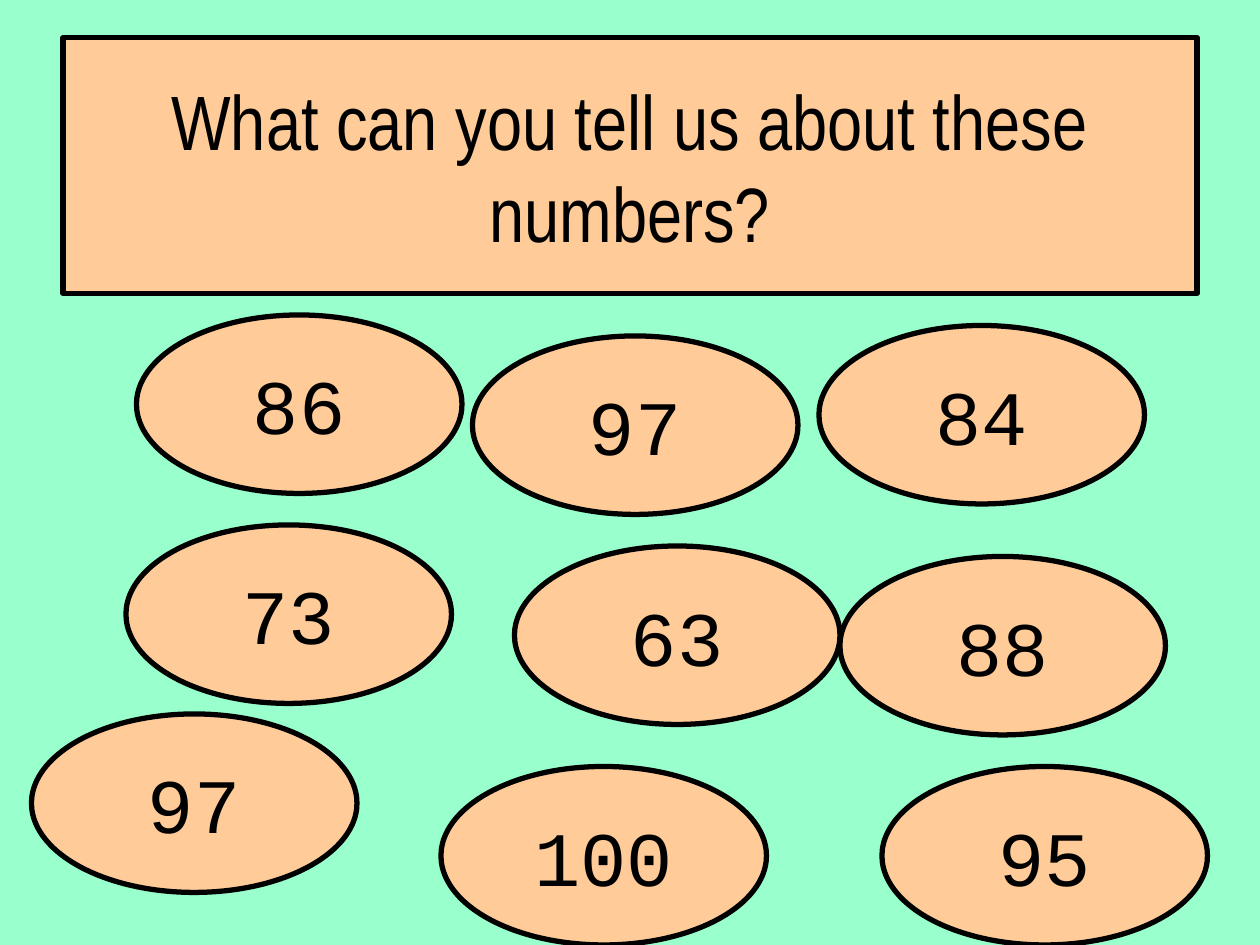
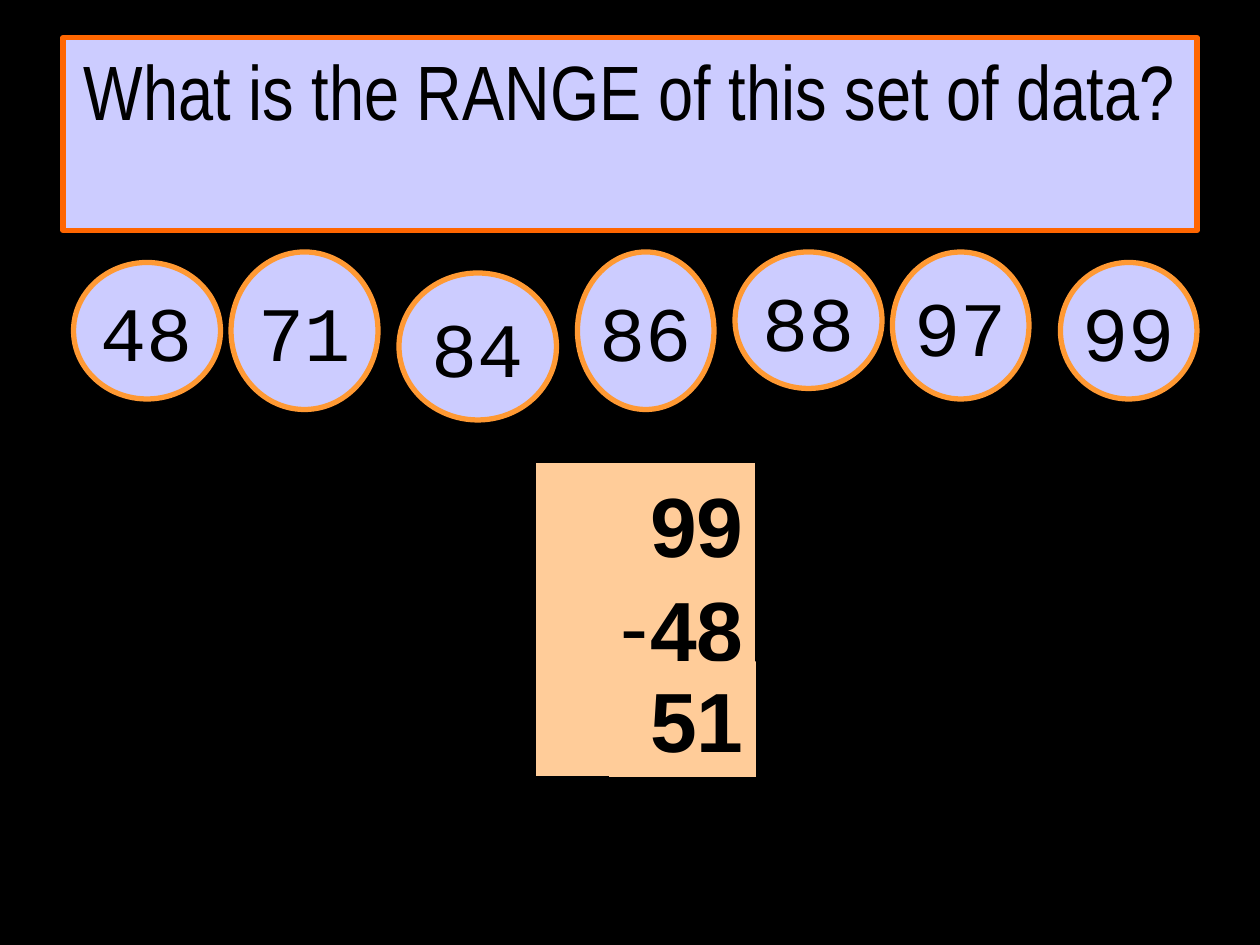
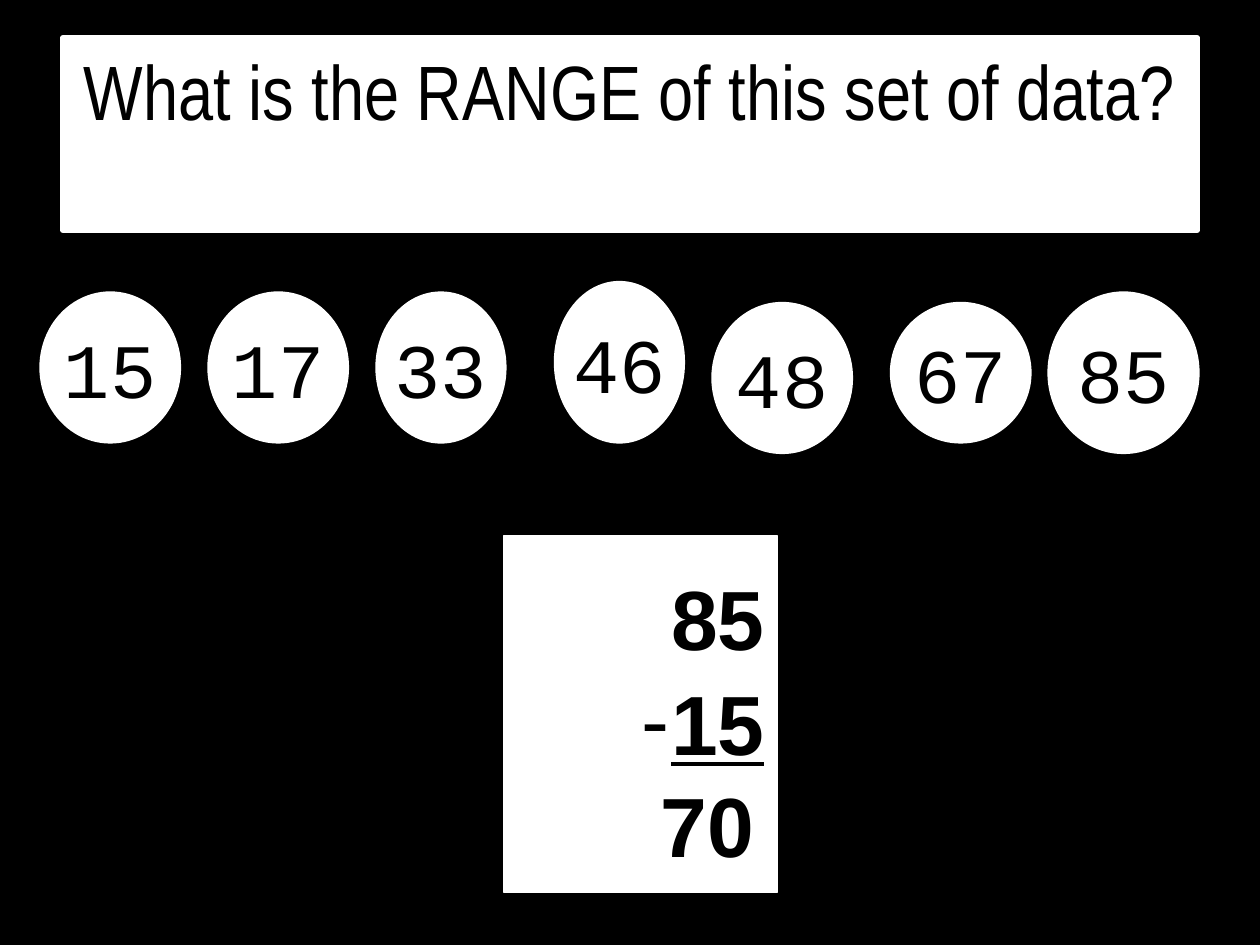
"""Three slides on number sets: a talking point and two range questions."""
from lxml.etree import SubElement
from pptx import Presentation
from pptx.dml.color import RGBColor
from pptx.enum.shapes import MSO_SHAPE as Preset
from pptx.enum.text import MSO_ANCHOR as Anchor, PP_ALIGN as Align
from pptx.oxml.ns import qn
from pptx.util import Inches, Pt

COLOURS = {"mint": "99FFCC", "peach": "FFCC99", "lilac": "CCCCFF", "flame": "FF6600",
           "orange": "FF9933", "black": "000000", "white": "FFFFFF"}
CELL = 1 / 12
OVAL = (31, 17)
RANGE_QUESTION = "What is the RANGE of this set of data?"

SLIDES = [
    {"ground": "mint", "question": "What can you tell us about these numbers?",
     "title_height": 2.03, "title_anchor": Anchor.MIDDLE,
     "fill": "peach", "title_line": "black", "oval_line": "black",
     "numbers": [("86", 13, 30, *OVAL), ("97", 45, 32, *OVAL), ("84", 78, 31, *OVAL),
                 ("73", 12, 50, *OVAL), ("63", 49, 52, *OVAL), ("88", 80, 53, *OVAL),
                 ("97", 3, 68, *OVAL), ("100", 42, 73, *OVAL), ("95", 84, 73, *OVAL)]},
    {"ground": "black", "question": RANGE_QUESTION,
     "title_height": 1.53, "title_anchor": Anchor.TOP,
     "fill": "lilac", "title_line": "flame", "oval_line": "orange",
     "numbers": [("48", 7, 25, 14, 13), ("71", 22, 24, 14, 15), ("84", 38, 26, 15, 14),
                 ("86", 55, 24, 13, 15), ("88", 70, 24, 14, 13), ("97", 85, 24, 13, 14),
                 ("99", 101, 25, 13, 13)],
     "working": {"fill": "peach", "sum_line": "black", "answer_line": None, "top": 0.09,
                 "sum": (51, 44, 21, 30), "answer": (58, 63, 14, 11)}},
    {"ground": "black", "question": RANGE_QUESTION,
     "title_height": 1.53, "title_anchor": Anchor.TOP,
     "fill": "white", "title_line": "white", "oval_line": "white",
     "numbers": [("15", 4, 28, 13, 14), ("17", 20, 28, 13, 14), ("33", 36, 28, 12, 14),
                 ("46", 53, 27, 12, 15), ("48", 68, 29, 13, 14), ("67", 85, 29, 13, 13),
                 ("85", 100, 28, 14, 15)],
     "working": {"fill": "white", "sum_line": "white", "answer_line": "white", "top": 0.25,
                 "sum": (48, 51, 26, 34), "answer": (59, 73, 14, 11)}},
]


def colour(name):
    """Look up a named colour."""
    return RGBColor.from_string(COLOURS[name])


def on_grid(cells):
    """Turn grid cells into inches."""
    return [cell * CELL for cell in cells]


def add_panel(slide, preset, place, fill, line, width=3):
    """Add a filled shape and return its text frame."""
    panel = slide.shapes.add_shape(preset, *map(Inches, place))
    panel.shadow.inherit = False
    panel.fill.solid()
    panel.fill.fore_color.rgb = colour(fill)
    if line:
        panel.line.color.rgb = colour(line)
        panel.line.width = Pt(width)
    else:
        panel.line.fill.background()
    return panel.text_frame


def write(frame, text, *, font, size, align=Align.CENTER, anchor=Anchor.MIDDLE, wrap=True,
          bold=False, underline=False, bullet=None, before=0, top=0.05):
    """Add one formatted paragraph to a text frame."""
    paragraph = frame.add_paragraph() if frame.text else frame.paragraphs[0]
    frame.word_wrap, frame.vertical_anchor = wrap, anchor
    frame.margin_top = Inches(top)
    paragraph.alignment = align
    if before:
        paragraph.space_before = Pt(before)
    if bullet:
        properties = paragraph._p.get_or_add_pPr()
        SubElement(properties, qn("a:buFont")).set("typeface", font)
        SubElement(properties, qn("a:buChar")).set("char", bullet)
    run = paragraph.add_run()
    run.text = text
    run.font.name, run.font.size = font, Pt(size)
    run.font.bold, run.font.underline = bold, underline
    run.font.color.rgb = colour("black")


def add_working(slide, working, largest, smallest):
    """Show the subtraction that gives the range."""
    digits = {"font": "Arial", "size": 48, "bold": True, "align": Align.RIGHT}
    upper = {**digits, "anchor": Anchor.TOP, "top": working["top"]}
    subtraction = add_panel(slide, Preset.RECTANGLE, on_grid(working["sum"]),
                            working["fill"], working["sum_line"], 0.75)
    write(subtraction, largest, **upper)
    write(subtraction, smallest, underline=True, bullet="-", before=2, **upper)
    answer = add_panel(slide, Preset.RECTANGLE, on_grid(working["answer"]),
                       working["fill"], working["answer_line"], 0.75)
    write(answer, str(int(largest) - int(smallest)), **digits)


def build_slide(deck, content):
    """Build one slide from its content."""
    slide = deck.slides.add_slide(deck.slide_layouts[6])
    slide.background.fill.solid()
    slide.background.fill.fore_color.rgb = colour(content["ground"])
    title = add_panel(slide, Preset.RECTANGLE, (0.5, 0.3, 9, content["title_height"]),
                      content["fill"], content["title_line"])
    write(title, content["question"], font="Arial Narrow", size=44,
          anchor=content["title_anchor"])
    numbers = content["numbers"]
    for number, *cells in numbers:
        oval = add_panel(slide, Preset.OVAL, on_grid(cells), content["fill"],
                         content["oval_line"])
        write(oval, number, font="Courier New", size=44, wrap=False)
    if "working" in content:
        add_working(slide, content["working"], numbers[-1][0], numbers[0][0])


def main():
    """Build and save the deck."""
    deck = Presentation()
    deck.slide_width, deck.slide_height = Inches(10), Inches(7.5)
    for content in SLIDES:
        build_slide(deck, content)
    deck.save("out.pptx")


if __name__ == "__main__":
    main()
